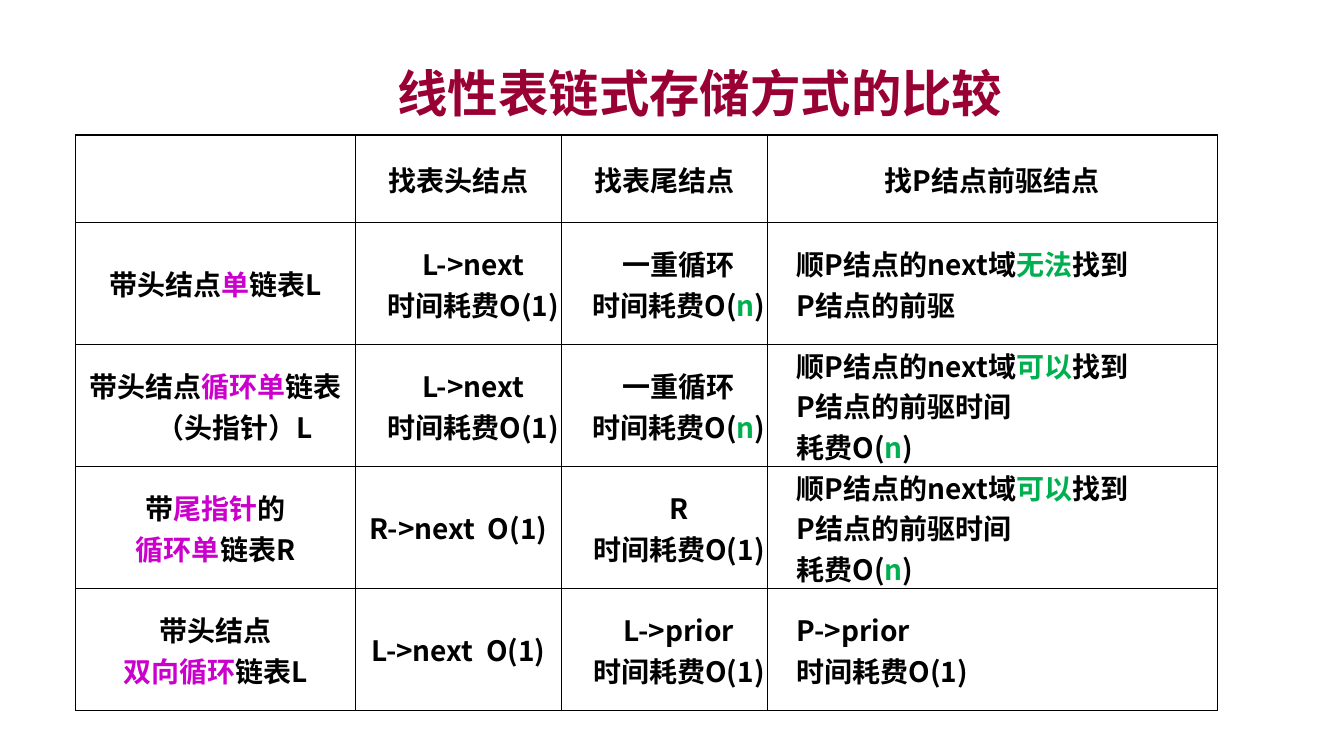
from dataclasses import dataclass

from lxml import etree
from pptx import Presentation
from pptx.dml.color import RGBColor
from pptx.enum.text import MSO_ANCHOR, PP_ALIGN
from pptx.oxml.ns import qn
from pptx.util import Pt

CENTER, LEFT = PP_ALIGN.CENTER, PP_ALIGN.LEFT
MIDDLE = MSO_ANCHOR.MIDDLE
TITLE_ONLY = 5


@dataclass(frozen=True)
class Theme:
    font: str = "Noto Sans CJK SC"
    title_size: int = 36
    body_size: int = 20
    title: str = "990033"
    text: str = "000000"
    list_kind: str = "CC00CC"
    finding: str = "00B050"
    border: str = "000000"


THEME = Theme()
TITLE = "线性表链式存储方式的比较 "
COLUMN_WIDTHS = (200, 147, 147, 322)
HEADER_HEIGHT, ROW_HEIGHT = 62.6, 85
TEXT_INDENT, FULL_HANG, SHORT_HANG = 27, -27, -6

CONSTANT_HEAD = "L->next\n时间耗费O(1)"
LOOP_TO_TAIL = "一重循环\n时间耗费O(|n|)"
PREDECESSOR_BY_LOOP = "顺P结点的next域|可以|找到\nP结点的前驱时间\n耗费O(|n|)"
COMPARISON = (
    ("", "找表头结点", "找表尾结点", "找P结点前驱结点"),
    ("带头结点|单|链表L", CONSTANT_HEAD, LOOP_TO_TAIL,
     "顺P结点的next域|无法|找到\nP结点的前驱"),
    ("带头结点|循环单|链表（头指针）L", CONSTANT_HEAD, LOOP_TO_TAIL,
     PREDECESSOR_BY_LOOP),
    ("带|尾指针|的\n|循环单|链表R", "R->next  O(1)", "R\n时间耗费O(1)",
     PREDECESSOR_BY_LOOP),
    ("带头结点\n|双向循环|链表L", "L->next  O(1)", "L->prior\n时间耗费O(1)",
     "P->prior\n时间耗费O(1)"),
)


def apply(target, values):
    for name, value in values.items():
        setattr(target, name, value)


def add_text(paragraph, text, size, color):
    run = paragraph.add_run()
    run.text = text
    apply(run.font, {"name": THEME.font, "size": Pt(size), "bold": True})
    run.font.color.rgb = RGBColor.from_string(color)
    east_asian = etree.SubElement(run.font._element, qn("a:ea"))
    east_asian.set("typeface", THEME.font)


def add_borders(cell):
    properties = cell._tc.get_or_add_tcPr()
    for position, side in enumerate(("lnL", "lnR", "lnT", "lnB")):
        line = etree.Element(qn(f"a:{side}"), w=str(Pt(1)))
        fill = etree.SubElement(line, qn("a:solidFill"))
        etree.SubElement(fill, qn("a:srgbClr"), val=THEME.border)
        properties.insert(position, line)


def fill_cell(cell, content, highlight, align, hang):
    apply(cell, {"vertical_anchor": MIDDLE, "margin_left": 0, "margin_right": 0,
                 "margin_top": 0, "margin_bottom": 0})
    cell.fill.background()
    add_borders(cell)
    frame = cell.text_frame
    for index, line in enumerate(content.split("\n")):
        paragraph = frame.add_paragraph() if index else frame.paragraphs[0]
        paragraph.alignment = align
        indents = paragraph._p.get_or_add_pPr()
        indents.set("marL", str(Pt(TEXT_INDENT)))
        indents.set("indent", str(Pt(hang)))
        for part, text in enumerate(line.split("|")):
            if text:
                color = highlight if part % 2 else THEME.text
                add_text(paragraph, text, THEME.body_size, color)


def build_title(slide, left, top, width, height):
    heading = slide.shapes.title
    apply(heading, {"left": Pt(left), "top": Pt(top),
                    "width": Pt(width), "height": Pt(height)})
    apply(heading.text_frame, {"vertical_anchor": MIDDLE, "word_wrap": True})
    paragraph = heading.text_frame.paragraphs[0]
    paragraph.alignment = CENTER
    add_text(paragraph, TITLE, THEME.title_size, THEME.title)


def build_comparison(slide, left, top):
    height = HEADER_HEIGHT + ROW_HEIGHT * (len(COMPARISON) - 1)
    comparison = slide.shapes.add_table(
        len(COMPARISON), len(COLUMN_WIDTHS),
        Pt(left), Pt(top), Pt(sum(COLUMN_WIDTHS)), Pt(height)).table
    apply(comparison, {"first_row": False, "horz_banding": False})
    for column, width in zip(comparison.columns, COLUMN_WIDTHS):
        column.width = Pt(width)
    for r, contents in enumerate(COMPARISON):
        comparison.rows[r].height = Pt(ROW_HEIGHT if r else HEADER_HEIGHT)
        for c, content in enumerate(contents):
            highlight = THEME.finding if c else THEME.list_kind
            align = LEFT if r and c == 3 else CENTER
            hang = SHORT_HANG if c and "\n" in content else FULL_HANG
            fill_cell(comparison.cell(r, c), content, highlight, align, hang)


def main():
    deck = Presentation()
    apply(deck, {"slide_width": Pt(960), "slide_height": Pt(540)})
    slide = deck.slides.add_slide(deck.slide_layouts[TITLE_ONLY])
    build_title(slide, 84, 42, 840, 48)
    build_comparison(slide, 54, 96.5)
    deck.save("out.pptx")


if __name__ == "__main__":
    main()
